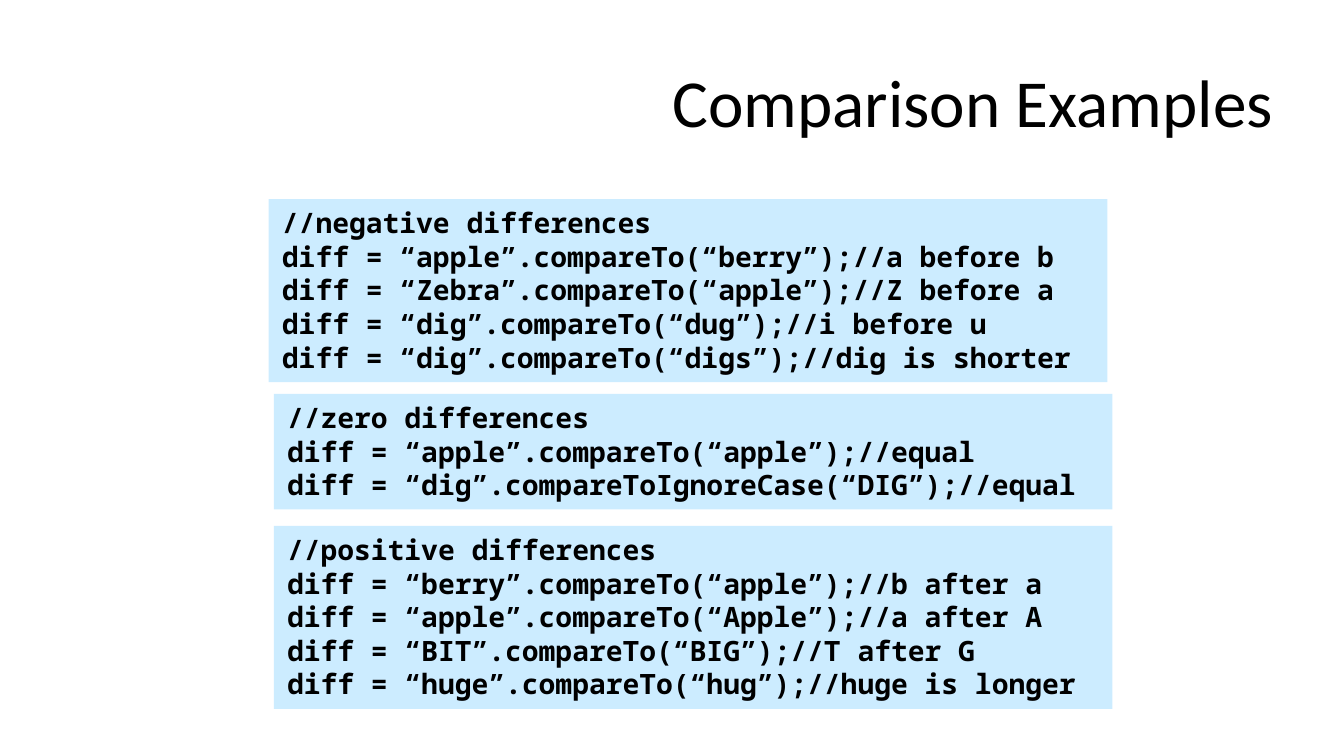
from pptx import Presentation
from pptx.dml.color import RGBColor
from pptx.enum.shapes import MSO_SHAPE
from pptx.enum.text import MSO_ANCHOR, PP_ALIGN
from pptx.util import Pt

RECT = MSO_SHAPE.RECTANGLE
TOP, MIDDLE = MSO_ANCHOR.TOP, MSO_ANCHOR.MIDDLE
LEFT, RIGHT = PP_ALIGN.LEFT, PP_ALIGN.RIGHT
COLORS = {"text": "000000", "panel": "CCECFF"}
LINE = 18

BLOCKS = [
    ((144, 106.7, 449.3, 98.1), [
        "//negative differences",
        "diff = “apple”.compareTo(“berry”);//a before b",
        "diff = “Zebra”.compareTo(“apple”);//Z before a",
        "diff = “dig”.compareTo(“dug”);//i before u",
        "diff = “dig”.compareTo(“digs”);//dig is shorter",
    ]),
    ((146.7, 211, 449.3, 61.9), [
        "//zero differences",
        "diff = “apple”.compareTo(“apple”);//equal",
        "diff = “dig”.compareToIgnoreCase(“DIG”);//equal",
    ]),
    ((146.7, 281.7, 449.3, 98.1), [
        "//positive differences",
        "diff = “berry”.compareTo(“apple”);//b after a",
        "diff = “apple”.compareTo(“Apple”);//a after A",
        "diff = “BIT”.compareTo(“BIG”);//T after G",
        "diff = “huge”.compareTo(“hug”);//huge is longer",
    ]),
]


def color(name):
    """Return the named colour."""
    return RGBColor.from_string(COLORS[name])


def add_run(para, text, font, size, bold=False):
    """Add one styled run to a paragraph."""
    run = para.add_run()
    run.text = text
    run.font.name = font
    run.font.size = Pt(size)
    run.font.bold = bold
    run.font.color.rgb = color("text")


def add_title(slide, box, text):
    """Place the right-aligned title in its box."""
    frame = slide.shapes.add_textbox(*map(Pt, box)).text_frame
    frame.word_wrap = True
    frame.vertical_anchor = MIDDLE
    para = frame.paragraphs[0]
    para.alignment = RIGHT
    add_run(para, text, "Calibri", 36)


def add_code(slide, box, lines):
    """Place a filled panel of code lines in its box."""
    panel = slide.shapes.add_shape(RECT, *map(Pt, box))
    panel.shadow.inherit = False
    panel.fill.solid()
    panel.fill.fore_color.rgb = color("panel")
    panel.line.fill.background()
    frame = panel.text_frame
    frame.word_wrap = True
    frame.vertical_anchor = TOP
    for i, line in enumerate(lines):
        para = frame.add_paragraph() if i else frame.paragraphs[0]
        para.alignment = LEFT
        para.line_spacing = Pt(LINE)
        add_run(para, line, "Noto Sans Mono", 15, True)


def main():
    """Build and save the slide."""
    deck = Presentation()
    deck.slide_width, deck.slide_height = Pt(720), Pt(405)
    slide = deck.slides.add_slide(deck.slide_layouts[6])
    add_title(slide, (38.9, 23.8, 650.2, 60.5), "Comparison Examples")
    for box, lines in BLOCKS:
        add_code(slide, box, lines)
    deck.save("out.pptx")


main()
